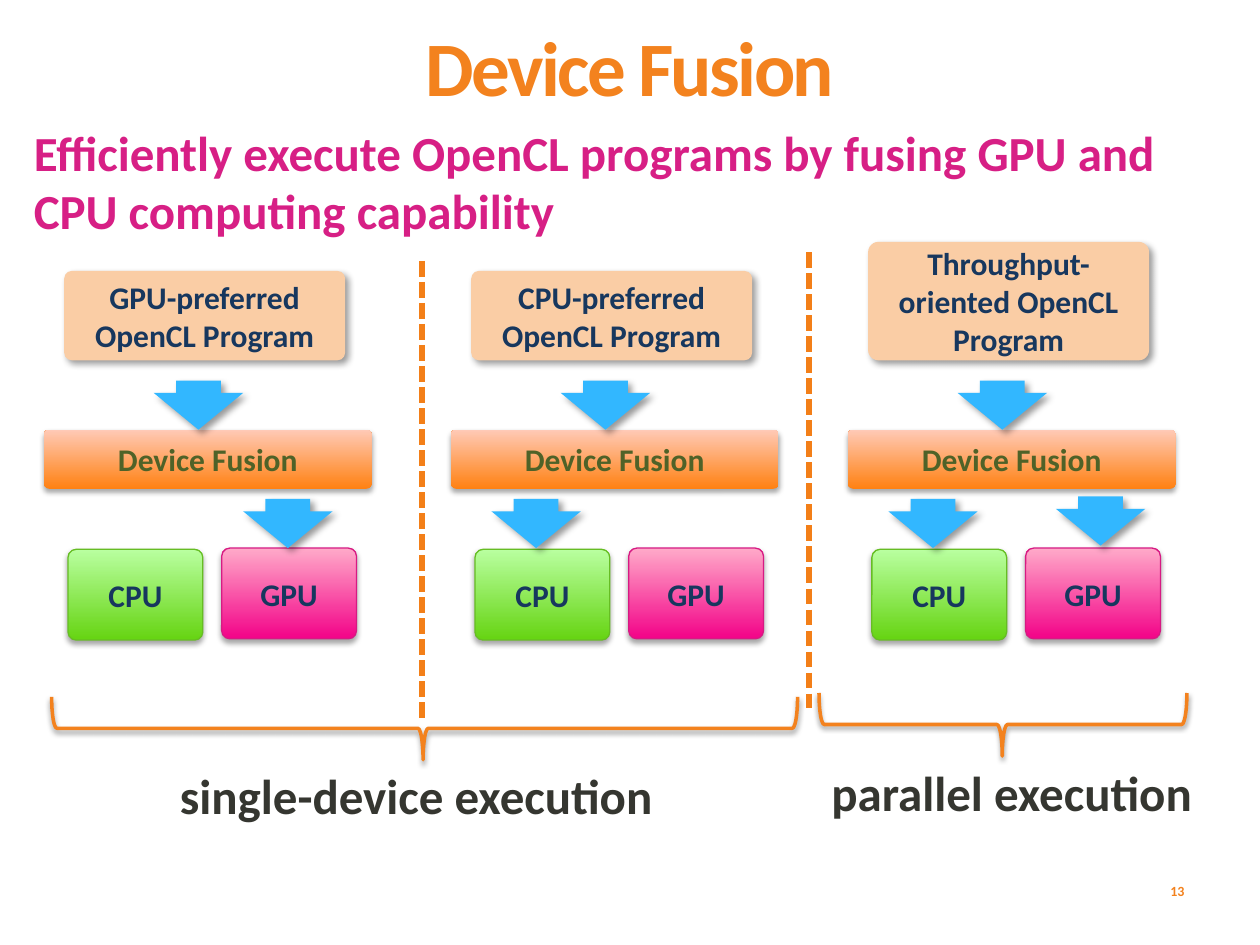
from lxml import etree
from pptx import Presentation
from pptx.dml.color import RGBColor
from pptx.enum.dml import MSO_LINE
from pptx.enum.shapes import MSO_CONNECTOR, MSO_SHAPE as SHAPE
from pptx.enum.text import MSO_ANCHOR as ANCHOR, MSO_AUTO_SIZE as FIT, PP_ALIGN as ALIGN
from pptx.oxml.ns import qn
from pptx.util import Inches, Pt


class Theme:
    font = "Calibri"
    title, heading, label, page = 44, 28, 18, 8
    orange, divider = "F3821E", "F37F18"
    magenta, charcoal = "D71F85", "353630"
    navy, olive = "17375E", "4F6228"
    peach, blue = "FACDA5", "32B7FF"
    # Gradients run from bottom to top
    fusion = ("FF8112", "FFCAB7")
    cpu, cpu_line = ("66D412", "B9FFA0"), "66BD23"
    gpu, gpu_line = ("F30388", "FFAAC9"), "D71A83"
    # Shadows: opacity %, blur pt, distance pt, direction in degrees
    slanted, soft, faint = (40, 4, 3, 45), (35, 3.1, 1.8, 90), (38, 3.1, 1.6, 90)


def write(shape, text, size=Theme.label, color=Theme.navy, align=ALIGN.CENTER,
          anchor=ANCHOR.MIDDLE, wrap=True, inset=(0.1, 0.05, 0.1, 0.05),
          fit=FIT.NONE, line_spacing=None, spacing=None):
    frame = shape.text_frame
    frame.text = text
    frame.word_wrap, frame.auto_size, frame.vertical_anchor = wrap, fit, anchor
    (frame.margin_left, frame.margin_top,
     frame.margin_right, frame.margin_bottom) = map(Inches, inset)
    paragraph = frame.paragraphs[0]
    paragraph.alignment, paragraph.line_spacing = align, line_spacing
    run = paragraph.runs[0]
    run.font.name, run.font.size, run.font.bold = Theme.font, Pt(size), True
    run.font.color.rgb = RGBColor.from_string(color)
    if spacing is not None:
        run.font._element.set("spc", str(round(spacing * 100)))


def draw(shapes, kind, box, adjust, shadow, fill=None, line=None, width=0.75):
    shape = shapes.add_shape(kind, *map(Inches, box))
    for index, value in enumerate(adjust):
        shape.adjustments[index] = value
    if fill is None:
        shape.fill.background()
    elif isinstance(fill, tuple):
        shape.fill.gradient()
        shape.fill.gradient_angle = 90
        for stop, color in zip(shape.fill.gradient_stops, fill):
            stop.color.rgb = RGBColor.from_string(color)
    else:
        shape.fill.solid()
        shape.fill.fore_color.rgb = RGBColor.from_string(fill)
    if line:
        shape.line.color.rgb = RGBColor.from_string(line)
        shape.line.width = Pt(width)
    else:
        shape.line.fill.background()
    shape.shadow.inherit = False
    opacity, blur, distance, direction = shadow
    effects = shape._element.spPr.find(qn("a:effectLst"))
    outer = etree.SubElement(effects, qn("a:outerShdw"), blurRad=str(Pt(blur)),
                             dist=str(Pt(distance)), dir=str(direction * 60000),
                             rotWithShape="0")
    black = etree.SubElement(outer, qn("a:srgbClr"), val="000000")
    etree.SubElement(black, qn("a:alpha"), val=str(opacity * 1000))
    return shape


deck = Presentation()
deck.slide_width, deck.slide_height = Inches(10), Inches(7.5)
slide = deck.slides.add_slide(deck.slide_layouts[5])

# Title
title = slide.shapes.title
title.left, title.top, title.width, title.height = map(Inches, (0.5, 0.3, 9, 0.86))
write(title, "Device Fusion", size=Theme.title, color=Theme.orange, anchor=ANCHOR.TOP,
      inset=(0.1, 0, 0.1, 0.05), line_spacing=0.8, spacing=-1.5)

# Dotted dividers between the columns
for x, top, bottom in ((3.35, 2.07, 5.7), (6.42, 2, 5.62)):
    divider = slide.shapes.add_connector(
        MSO_CONNECTOR.STRAIGHT, Inches(x), Inches(top), Inches(x), Inches(bottom))
    divider.line.color.rgb = RGBColor.from_string(Theme.divider)
    divider.line.width = Pt(3)
    divider.line.dash_style = MSO_LINE.SQUARE_DOT
    etree.SubElement(divider._element.spPr, qn("a:effectLst"))

# One group per program: left edge, program, its top, lower arrows (offset, top)
columns = (
    (0.35, "GPU-preferred OpenCL Program", 2.15, [(1.58, 3.96)]),
    (3.58, "CPU-preferred OpenCL Program", 2.15, [(0.32, 3.96)]),
    (6.73, "Throughput-oriented OpenCL Program", 1.92, [(0.32, 3.96), (1.65, 3.94)]),
)
devices = (
    ("GPU", 1.41, 4.35, Theme.gpu, Theme.gpu_line),
    ("CPU", 0.19, 4.36, Theme.cpu, Theme.cpu_line),
)
for left, program_name, program_top, lower_arrows in columns:
    column = slide.shapes.add_group_shape().shapes
    program = draw(column, SHAPE.ROUNDED_RECTANGLE,
                   (left + 0.16, program_top, 2.23, 2.86 - program_top),
                   [0.087], Theme.slanted, Theme.peach)
    write(program, program_name)
    for name, offset, top, fill, line in devices:
        device = draw(column, SHAPE.ROUNDED_RECTANGLE, (left + offset, top, 1.07, 0.72),
                      [0.09], Theme.soft, fill, line)
        write(device, name)
    fusion = draw(column, SHAPE.ROUNDED_RECTANGLE, (left, 3.41, 2.6, 0.47),
                  [0.09], Theme.soft, Theme.fusion)
    write(fusion, "Device Fusion", color=Theme.olive, inset=(0, 0, 0, 0))
    for offset, top in [(0.87, 3.02), *lower_arrows]:
        draw(column, SHAPE.DOWN_ARROW, (left + offset, top, 0.71, 0.39),
             [0.5, 0.748], Theme.slanted, Theme.blue)

# Braces under the columns
for box in ((3.12, 2.82, 0.5, 5.92), (7.71, 4.29, 0.5, 2.92)):
    brace = draw(slide.shapes, SHAPE.LEFT_BRACE, box, [0.083, 0.498], Theme.faint,
                 line=Theme.orange, width=2)
    brace.rotation = 270

# Summary and brace captions
for text, box, color, wrap in (
    ("Efficiently execute OpenCL programs by fusing GPU and CPU computing capability",
     (0.17, 0.92, 9.67, 1.04), Theme.magenta, True),
    ("single-device execution", (1.33, 6.03, 4, 0.57), Theme.charcoal, False),
    ("parallel execution", (6.5, 6, 3.1, 0.57), Theme.charcoal, False),
):
    caption = slide.shapes.add_textbox(*map(Inches, box))
    write(caption, text, size=Theme.heading, color=color, align=ALIGN.LEFT,
          anchor=ANCHOR.TOP, wrap=wrap, fit=FIT.SHAPE_TO_FIT_TEXT)

# Page number
page_number = slide.shapes.add_textbox(*map(Inches, (8.34, 6.87, 1.16, 0.4)))
write(page_number, "13", size=Theme.page, color=Theme.orange, align=ALIGN.RIGHT)

deck.save("out.pptx")
